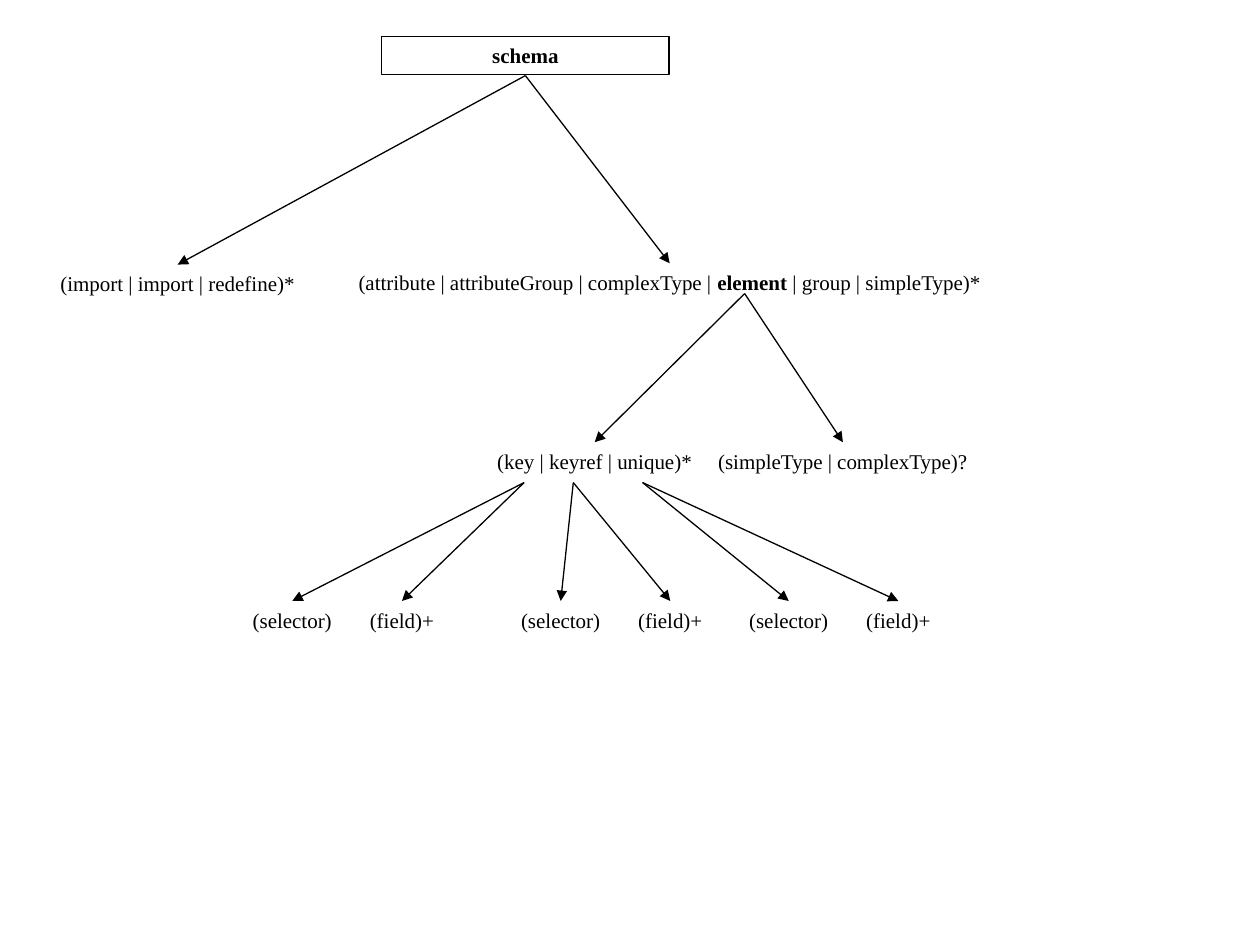
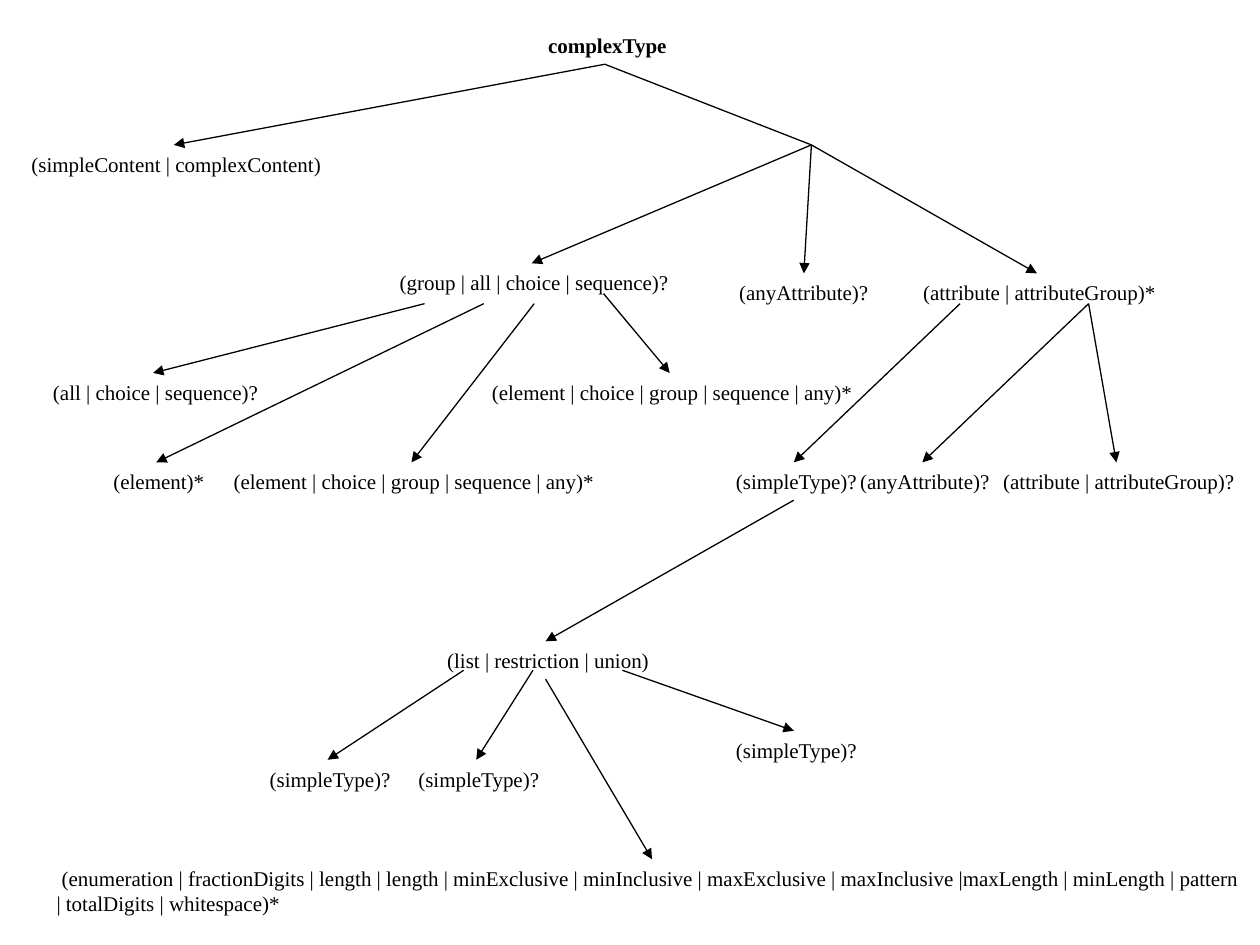
from dataclasses import dataclass
from typing import NamedTuple

from pptx import Presentation
from pptx.dml.color import RGBColor
from pptx.enum.shapes import MSO_CONNECTOR, MSO_SHAPE
from pptx.enum.text import MSO_ANCHOR, MSO_AUTO_SIZE, PP_ALIGN
from pptx.oxml.ns import qn
from pptx.slide import Slide
from pptx.util import Inches, Pt
from lxml.etree import SubElement


# Shared look
@dataclass(frozen=True)
class Theme:
    ink: RGBColor = RGBColor(0, 0, 0)
    font: str = "Times New Roman"
    size: Pt = Pt(12)
    space: Pt = Pt(7.5)
    line: Pt = Pt(0.75)


THEME = Theme()


class Point(NamedTuple):
    x: float
    y: float


@dataclass(frozen=True)
class Node:
    """A label; an arrow runs from its stem to its top centre."""
    text: str
    left: float
    top: float
    width: float
    stem: Point | None = None
    bold: str = ""
    framed: bool = False
    height: float = 0.3
    align: PP_ALIGN = PP_ALIGN.CENTER

    @property
    def head(self) -> Point:
        return Point(self.left + self.width / 2, self.top)


# Drawing
def draw_line(slide: Slide, start: Point, end: Point, arrow: bool = True) -> None:
    link = slide.shapes.add_connector(
        MSO_CONNECTOR.STRAIGHT, *(Inches(v) for v in (*start, *end)))
    link.line.color.rgb = THEME.ink
    link.line.width = THEME.line
    if arrow:
        SubElement(link.line._get_or_add_ln(), qn("a:tailEnd"), type="triangle")
    SubElement(link._element.spPr, qn("a:effectLst"))


def draw_node(slide: Slide, node: Node) -> None:
    area = [Inches(v) for v in (node.left, node.top, node.width, node.height)]
    if node.framed:
        box = slide.shapes.add_shape(MSO_SHAPE.RECTANGLE, *area)
        box.shadow.inherit = False
        box.fill.background()
        box.line.color.rgb = THEME.ink
        box.line.width = THEME.line
    else:
        box = slide.shapes.add_textbox(*area)
    frame = box.text_frame
    frame.word_wrap = True
    frame.auto_size = MSO_AUTO_SIZE.SHAPE_TO_FIT_TEXT
    frame.vertical_anchor = MSO_ANCHOR.MIDDLE
    para = frame.paragraphs[0]
    para.alignment = node.align
    para.space_before = THEME.space
    parts = node.text.partition(node.bold) if node.bold else (node.text,)
    for part in filter(None, parts):
        run = para.add_run()
        run.text = part
        run.font.name = THEME.font
        run.font.size = THEME.size
        run.font.color.rgb = THEME.ink
        run.font.bold = part == node.bold
    if node.stem:
        draw_line(slide, node.stem, node.head)


# Schema tree
ROOT = Point(4.17, 0.6)
ELEMENT = Point(5.91, 2.33)
SCHEMA = [
    Node("schema", 3.03, 0.29, 2.28, bold="schema", framed=True),
    Node("(import | import | redefine)*", 0.27, 2.1, 2.28, ROOT),
    Node("(attribute | attributeGroup | complexType | element | group | simpleType)*",
         2.48, 2.09, 5.67, ROOT, bold="element"),
    Node("(key | keyref | unique)*", 3.58, 3.51, 2.28, ELEMENT),
    Node("(simpleType | complexType)?", 5.55, 3.51, 2.28, ELEMENT),
]
# Key, keyref and unique each lead to a selector and a field
for stem_x, left in ((4.16, 1.85), (4.55, 3.98), (5.1, 5.79)):
    for step, text in enumerate(("(selector)", "(field)+")):
        SCHEMA.append(Node(text, left + step * 0.87, 4.77, 0.94, Point(stem_x, 3.83)))

# Complex type tree
TOP = Point(4.8, 0.51)
FORK = Point(6.44, 1.15)
GROUP = Point(8.64, 2.41)
CHOICES = " (element | choice | group | sequence | any)*"
SIMPLE = " (simpleType)?"
COMPLEX = [
    Node(" complexType", 4.13, 0.21, 1.34, bold="complexType"),
    Node(" (simpleContent | complexContent)", 0, 1.15, 2.76, TOP),
    Node(" (group | all | choice | sequence)?", 2.88, 2.09, 2.68, FORK),
    Node("(anyAttribute)?", 5.71, 2.17, 1.34, FORK),
    Node(" (attribute | attributeGroup)*", 7.13, 2.17, 2.2, FORK),
    # Content models
    Node(" (all | choice | sequence)?", 0.27, 2.96, 1.89, Point(3.37, 2.41)),
    Node(" (element)*", 0.75, 3.67, 0.98, Point(3.84, 2.41)),
    Node(CHOICES, 1.69, 3.67, 3.15, Point(4.24, 2.41)),
    Node(CHOICES, 3.66, 2.96, 3.31, Point(4.79, 2.33)),
    # Attributes
    Node(SIMPLE, 5.63, 3.67, 1.34, Point(7.62, 2.41)),
    Node(" (anyAttribute)?", 6.65, 3.67, 1.34, GROUP),
    Node(" (attribute | attributeGroup)?", 7.72, 3.67, 2.28, GROUP),
    # Simple type
    Node(" (list | restriction | union)", 3.19, 5.09, 2.28, Point(6.3, 3.97)),
    Node(SIMPLE, 1.93, 6.03, 1.34, Point(3.68, 5.32)),
    Node(SIMPLE, 3.11, 6.03, 1.34, Point(4.23, 5.32)),
    Node(SIMPLE, 5.63, 5.8, 1.34, Point(4.94, 5.32)),
    Node(" (enumeration | fractionDigits | length | length | minExclusive"
         " | minInclusive | maxExclusive | maxInclusive |maxLength | minLength"
         " | pattern | totalDigits | whitespace)*",
         0.35, 6.82, 9.65, Point(4.33, 5.39), height=0.5, align=PP_ALIGN.LEFT),
]


def main() -> None:
    deck = Presentation()
    deck.slide_width, deck.slide_height = Inches(10), Inches(7.5)
    for tree in (SCHEMA, COMPLEX):
        slide = deck.slides.add_slide(deck.slide_layouts[6])
        for node in tree:
            draw_node(slide, node)
    # Plain line to the fork on the last slide
    draw_line(slide, TOP, FORK, arrow=False)
    deck.save("out.pptx")


if __name__ == "__main__":
    main()
